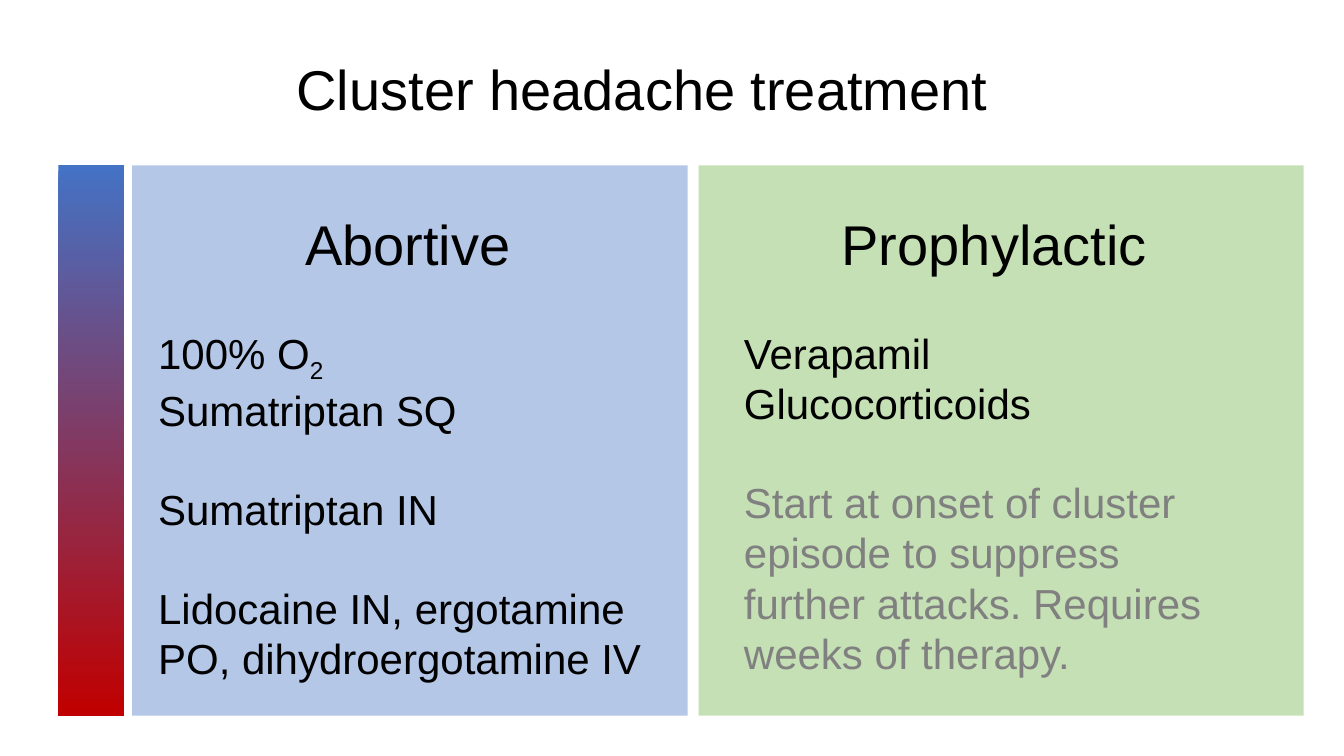
from dataclasses import dataclass

from pptx import Presentation
from pptx.dml.color import RGBColor
from pptx.enum.shapes import MSO_SHAPE
from pptx.enum.text import MSO_ANCHOR, MSO_AUTO_SIZE, PP_ALIGN
from pptx.util import Inches, Pt

RECT = MSO_SHAPE.RECTANGLE
TOP, MIDDLE = MSO_ANCHOR.TOP, MSO_ANCHOR.MIDDLE
FIT, FIXED = MSO_AUTO_SIZE.SHAPE_TO_FIT_TEXT, MSO_AUTO_SIZE.NONE
LEFT, CENTER = PP_ALIGN.LEFT, PP_ALIGN.CENTER

COLORS = {
    "text": "000000",
    "note": "808080",
    "abortive": "B4C7E7",
    "prophylactic": "C5E0B4",
    "first_line": "4472C4",
    "last_line": "C00000",
}
FONT = "Arial"
HEADING_SIZE, BODY_SIZE = 40, 30
LINE_GAP = 34.5
PANEL_TOP, PANEL_HEIGHT = 1.64, 5.46
HEADING_TOP, HEADING_HEIGHT = 2.03, 0.77
BODY_TOP, BODY_HEIGHT = 3.2, 3.64


@dataclass
class Line:
    text: str
    subscript: str = ""
    gap: float = 0
    color: str = "text"


@dataclass
class Panel:
    heading: str
    fill: str
    left: float
    width: float
    heading_left: float
    heading_width: float
    body_left: float
    body_width: float
    lines: list[Line]


PANELS = [
    Panel("Abortive", "abortive", 1.31, 5.51, 2.93, 2.26, 1.47, 5.13, [
        Line("100% O", subscript="2"),
        Line("Sumatriptan SQ"),
        Line("Sumatriptan IN", gap=LINE_GAP),
        Line("Lidocaine IN, ergotamine PO, dihydroergotamine IV", gap=LINE_GAP),
    ]),
    Panel("Prophylactic", "prophylactic", 6.93, 6, 8.25, 3.26, 7.28, 5.19, [
        Line("Verapamil"),
        Line("Glucocorticoids"),
        Line("Start at onset of cluster episode to suppress further attacks. "
             "Requires weeks of therapy.", gap=LINE_GAP, color="note"),
    ]),
]


def rgb(name: str) -> RGBColor:
    return RGBColor.from_string(COLORS[name])


def add_block(left: float, width: float):
    sp = s.shapes.add_shape(RECT, Inches(left), Inches(PANEL_TOP),
                            Inches(width), Inches(PANEL_HEIGHT))
    sp.shadow.inherit = False
    sp.line.fill.background()
    return sp


def add_run(p, text: str, size: float, color: str):
    r = p.add_run()
    r.text = text
    for name, value in {"name": FONT, "size": Pt(size)}.items():
        setattr(r.font, name, value)
    r.font.color.rgb = rgb(color)
    return r


def add_text(left: float, top: float, width: float, height: float,
             lines: list[Line], size: float, align=LEFT, spacing: float = 1,
             **frame_format) -> None:
    sp = s.shapes.add_textbox(Inches(left), Inches(top), Inches(width), Inches(height))
    tf = sp.text_frame
    frame = {"word_wrap": True, "auto_size": FIT, "vertical_anchor": TOP}
    for name, value in (frame | frame_format).items():
        setattr(tf, name, value)
    for i, line in enumerate(lines):
        p = tf.add_paragraph() if i else tf.paragraphs[0]
        paragraph = {"alignment": align, "line_spacing": spacing,
                     "space_before": Pt(line.gap)}
        for name, value in paragraph.items():
            setattr(p, name, value)
        add_run(p, line.text, size, line.color)
        if line.subscript:
            r = add_run(p, line.subscript, size, line.color)
            r._r.get_or_add_rPr().set("baseline", "-25000")


prs = Presentation()
prs.slide_width, prs.slide_height = Inches(13.33), Inches(7.5)
s = prs.slides.add_slide(prs.slide_layouts[6])

add_text(0.29, 0.19, 12.15, 1.45, [Line("Cluster headache treatment")], HEADING_SIZE,
         CENTER, 0.9, auto_size=FIXED, vertical_anchor=MIDDLE)

for panel in PANELS:
    block = add_block(panel.left, panel.width)
    block.fill.solid()
    block.fill.fore_color.rgb = rgb(panel.fill)
    add_text(panel.heading_left, HEADING_TOP, panel.heading_width, HEADING_HEIGHT,
             [Line(panel.heading)], HEADING_SIZE, word_wrap=False)
    add_text(panel.body_left, BODY_TOP, panel.body_width, BODY_HEIGHT,
             panel.lines, BODY_SIZE)

scale = add_block(0.58, 0.65)
scale.fill.gradient()
scale.fill.gradient_angle = 270
for stop, color in zip(scale.fill.gradient_stops, ("first_line", "last_line")):
    stop.color.rgb = rgb(color)

prs.save("out.pptx")
